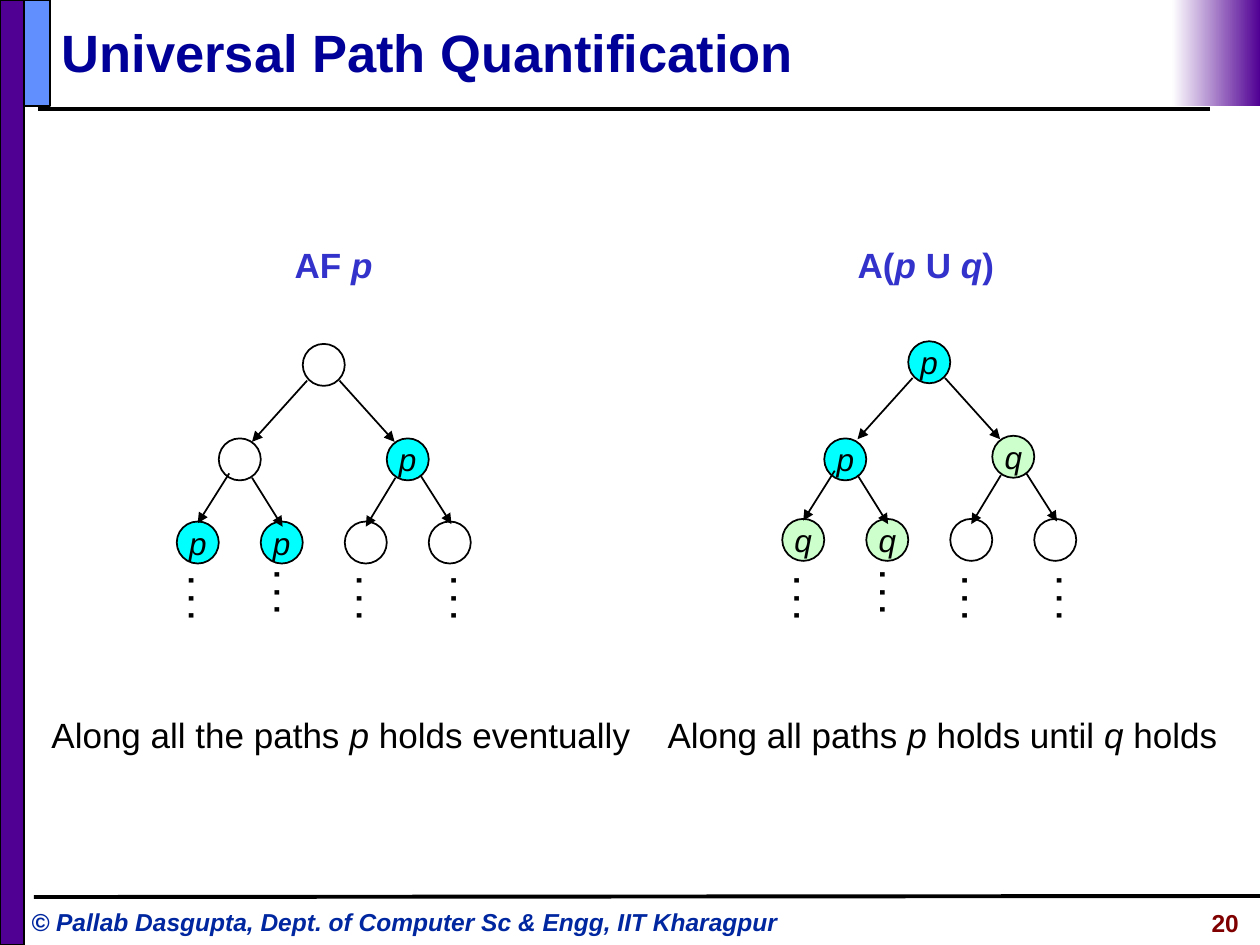
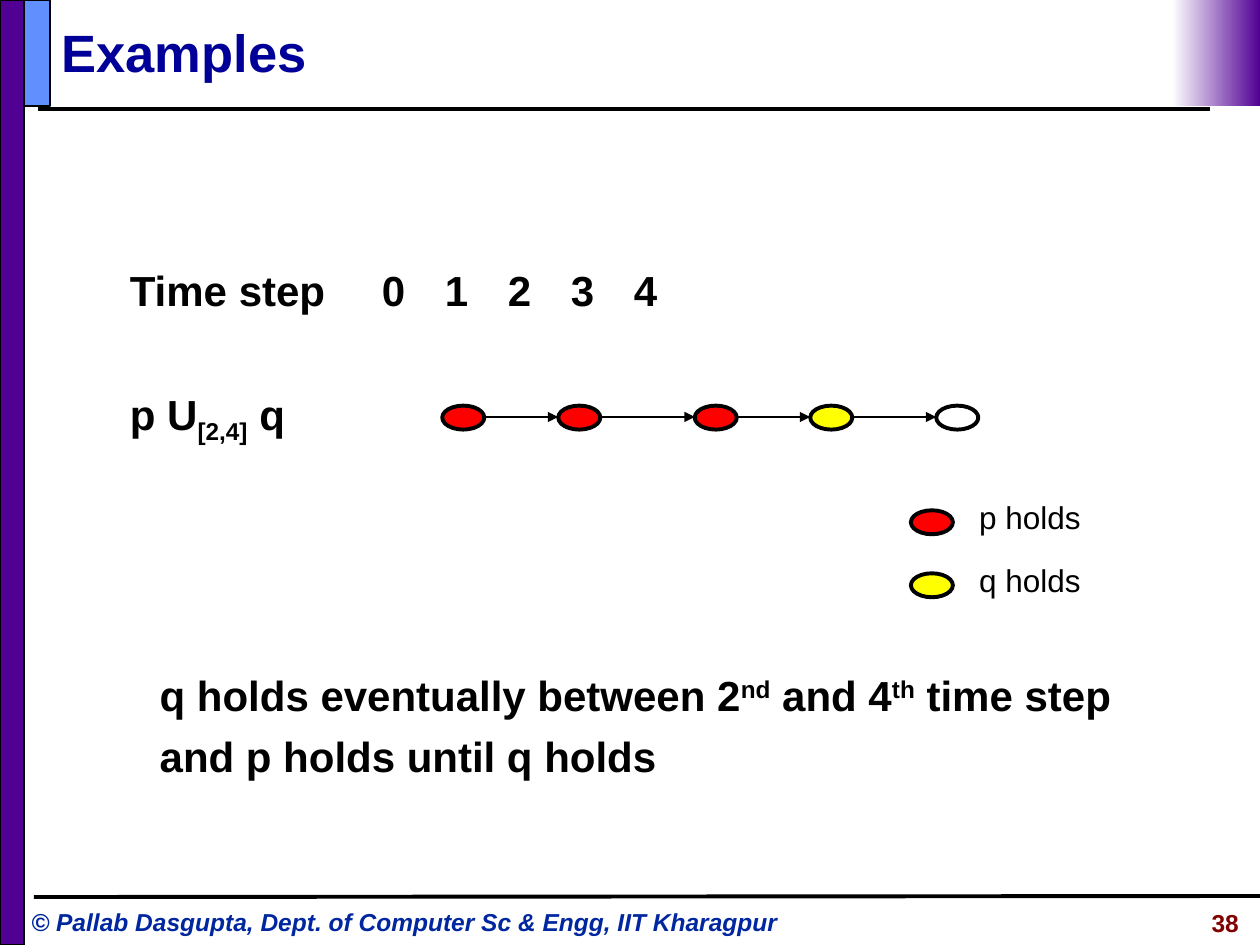
from lxml import etree
from pptx import Presentation
from pptx.dml.color import RGBColor
from pptx.enum.shapes import MSO_CONNECTOR as Connector, MSO_SHAPE as Shape
from pptx.enum.text import MSO_ANCHOR as Anchor, MSO_AUTO_SIZE as AutoSize, PP_ALIGN as Align
from pptx.oxml.ns import qn
from pptx.util import Pt

COLORS = {
    "black": "000000", "white": "FFFFFF", "purple": "500093", "blue": "618FFD",
    "title": "000099", "footer": "00279F", "page": "800000", "formula": "3333CC",
    "cyan": "00FFFF", "green": "CCFFCC", "red": "FF0000", "yellow": "FFFF00",
}
RGB = {name: RGBColor.from_string(value) for name, value in COLORS.items()}
BASELINES = {"sub": "-25000", "sup": "30000"}


def write(shape, paragraphs, size, color="black", bold=False, italic=False,
          align=Align.LEFT, space=0, wrap=True):
    frame = shape.text_frame
    frame.word_wrap = wrap
    frame.auto_size = AutoSize.NONE
    for index, runs in enumerate(paragraphs):
        paragraph = frame.paragraphs[0] if index == 0 else frame.add_paragraph()
        paragraph.alignment = align
        paragraph.space_before = Pt(space if index else 0)
        for text, style in runs:
            run = paragraph.add_run()
            run.text = text
            if style == "italic":
                run.font.italic = True
            elif style in BASELINES:
                run._r.get_or_add_rPr().set("baseline", BASELINES[style])
        font = paragraph.font
        font.name, font.size = "Arial", Pt(size)
        font.bold, font.italic = bold, italic
        font.color.rgb = RGB[color]


def draw(slide, kind, box, fill, width=1, label=""):
    shape = slide.shapes.add_shape(kind, *map(Pt, box))
    shape.shadow.inherit = False
    shape.fill.solid()
    shape.fill.fore_color.rgb = RGB[fill]
    shape.line.color.rgb = RGB["black"]
    shape.line.width = Pt(width)
    if label:
        frame = shape.text_frame
        frame.margin_left = frame.margin_right = frame.margin_top = frame.margin_bottom = 0
        frame.vertical_anchor = Anchor.MIDDLE
        write(shape, [[(label, "")]], 18, italic=True, align=Align.CENTER, wrap=False)
    return shape


presentation = Presentation()
presentation.slide_width, presentation.slide_height = Pt(720), Pt(540)
path_slide = presentation.slides.add_slide(presentation.slide_layouts[5])
example_slide = presentation.slides.add_slide(presentation.slide_layouts[1])
lines = []

for slide, title, number in [
    (path_slide, "Universal Path Quantification", "20"),
    (example_slide, "Examples", "38"),
]:
    draw(slide, Shape.RECTANGLE, (0, 0, 13.7, 540), "purple")
    draw(slide, Shape.RECTANGLE, (13.7, 0, 15, 60.5), "blue")
    fade = draw(slide, Shape.RECTANGLE, (669.6, 0, 50.4, 60.5), "white")
    fade.line.fill.background()
    fade.fill.gradient()
    fade.fill.gradient_angle = 0
    for stop, color in zip(fade.fill.gradient_stops, ("white", "purple")):
        stop.color.rgb = RGB[color]
    lines += [(slide, (21.6, 62.5, 691.2, 62.5), 2.25, False),
              (slide, (19.4, 512.6, 720, 512), 2.25, False)]

    heading = slide.shapes.title
    heading.left, heading.top, heading.width, heading.height = map(Pt, (28, 7.2, 655, 44))
    heading.text_frame.vertical_anchor = Anchor.MIDDLE
    write(heading, [[(title, "")]], 30, "title", bold=True)
    footer = slide.shapes.add_textbox(Pt(10.8), Pt(515), Pt(459), Pt(24.5))
    write(footer, [[("© Pallab Dasgupta, Dept. of Computer Sc & Engg, IIT Kharagpur", "")]],
          14, "footer", bold=True, italic=True)
    page = slide.shapes.add_textbox(Pt(589), Pt(515.5), Pt(126), Pt(24.5))
    write(page, [[(number, "")]], 14, "page", bold=True, align=Align.RIGHT)

for box, runs, color, bold in [
    ((161.3, 135.4, 59, 31.7), [("AF", ""), (" p", "italic")], "formula", True),
    ((483, 135.4, 92, 31.7),
     [("A(", ""), ("p ", "italic"), ("U ", ""), ("q", "italic"), (")", "")], "formula", True),
    ((22.3, 404, 345.6, 31),
     [("Along all the paths ", ""), ("p", "italic"), (" holds eventually", "")], "black", False),
    ((374.4, 404, 329, 31),
     [("Along all paths ", ""), ("p", "italic"), (" holds until ", ""), ("q", "italic"),
      (" holds", "")], "black", False),
]:
    caption = path_slide.shapes.add_textbox(*map(Pt, box))
    write(caption, [runs], 20, color, bold=bold, wrap=False)

NODE = 24
NODE_FILLS = {"": "white", "p": "cyan", "q": "green"}
NODES = [(72, 0), (24, 54), (120, 54)] + [(48 * leaf, 101.5) for leaf in range(4)]
EDGES = [(74.5, 21, 43, 56), (93, 21, 124.5, 56), (30, 74, 12, 102.5),
         (43, 76.5, 60.5, 104.5), (125, 76.5, 108, 104.5), (139.5, 75.5, 157, 103)]
DOTS = [(14, 342), (63, 338.5), (110, 342), (164, 342)]

for tree_left, tree_top, left_child_drop, labels in [
    (101, 196.5, 0, ["", "", "p", "p", "p", "", ""]),
    (447, 195, 1.5, ["p", "p", "q", "q", "q", "", ""]),
]:
    for index, ((x, y), label) in enumerate(zip(NODES, labels)):
        drop = left_child_drop if index == 1 else 0
        draw(path_slide, Shape.OVAL, (tree_left + x, tree_top + y + drop, NODE, NODE),
             NODE_FILLS[label], label=label)
    for x1, y1, x2, y2 in EDGES:
        ends = (tree_left + x1, tree_top + y1, tree_left + x2, tree_top + y2)
        lines.append((path_slide, ends, 1, True))
    for x, y in DOTS:
        dots = path_slide.shapes.add_textbox(
            Pt(tree_left + x - 19.5), Pt(y - 14.5), Pt(39), Pt(29))
        dots.rotation = 90
        write(dots, [[(". . .", "")]], 18, bold=True, wrap=False)

body = example_slide.placeholders[1]
body.left, body.top, body.width, body.height = map(Pt, (67, 147.5, 620, 115))
for index in range(2):
    if index:
        body.text_frame.add_paragraph()
    properties = body.text_frame.paragraphs[index]._p.get_or_add_pPr()
    properties.set("marL", "0")
    properties.set("indent", "0")
    etree.SubElement(properties, qn("a:buNone"))
    if index == 0:
        tabs = etree.SubElement(properties, qn("a:tabLst"))
        for step in range(5):
            etree.SubElement(tabs, qn("a:tab"), pos=str(Pt(166 + 72 * step)), algn="l")
first, second = body.text_frame.paragraphs
for paragraph, runs in [
    (first, [("Time step\t0\t1\t2\t3\t4", "")]),
    (second, [("p U", ""), ("[2,4]", "sub"), (" q", "")]),
]:
    for text, style in runs:
        run = paragraph.add_run()
        run.text = text
        if style:
            run._r.get_or_add_rPr().set("baseline", BASELINES[style])
    paragraph.space_before = Pt(42 if paragraph is second else 0)
    paragraph.font.name, paragraph.font.size = "Arial", Pt(24)
    paragraph.font.bold = True
    paragraph.font.color.rgb = RGB["black"]
body.text_frame.auto_size = AutoSize.NONE

STATE_WIDTH, STATE_HEIGHT = 24, 13.7
STATES = [(252.7, "red"), (319, "red"), (397, "red"), (463, "yellow"), (535, "white")]
for x, fill in STATES:
    draw(example_slide, Shape.OVAL, (x, 231.8, STATE_WIDTH, STATE_HEIGHT), fill, 2.25)
for index, ((start, _), (end, _)) in enumerate(zip(STATES, STATES[1:])):
    ends = (start + STATE_WIDTH, 238.3, end, 238.3)
    lines.append((example_slide, ends, 1 if index else 1.5, True))

for row, (fill, meaning) in enumerate([("red", "p holds"), ("yellow", "q holds")]):
    top = 281 + 36 * row
    draw(example_slide, Shape.OVAL, (520.5, top + 10.6, STATE_WIDTH, STATE_HEIGHT), fill, 2.25)
    legend = example_slide.shapes.add_textbox(Pt(551), Pt(top), Pt(75), Pt(29))
    write(legend, [[(meaning, "")]], 18, align=Align.CENTER)

summary = example_slide.shapes.add_textbox(Pt(84.2), Pt(379), Pt(564.5), Pt(70.5))
write(summary, [
    [("q holds eventually between 2", ""), ("nd", "sup"), (" and 4", ""), ("th", "sup"),
     (" time step", "")],
    [("and p holds until q holds", "")],
], 24, bold=True, space=6, wrap=False)

for slide, ends, width, arrow in lines:
    connector = slide.shapes.add_connector(Connector.STRAIGHT, *map(Pt, ends))
    connector.line.color.rgb = RGB["black"]
    connector.line.width = Pt(width)
    if arrow:
        etree.SubElement(connector.line._get_or_add_ln(), qn("a:tailEnd"), type="triangle")
    etree.SubElement(connector._element.spPr, qn("a:effectLst"))

presentation.save("out.pptx")
